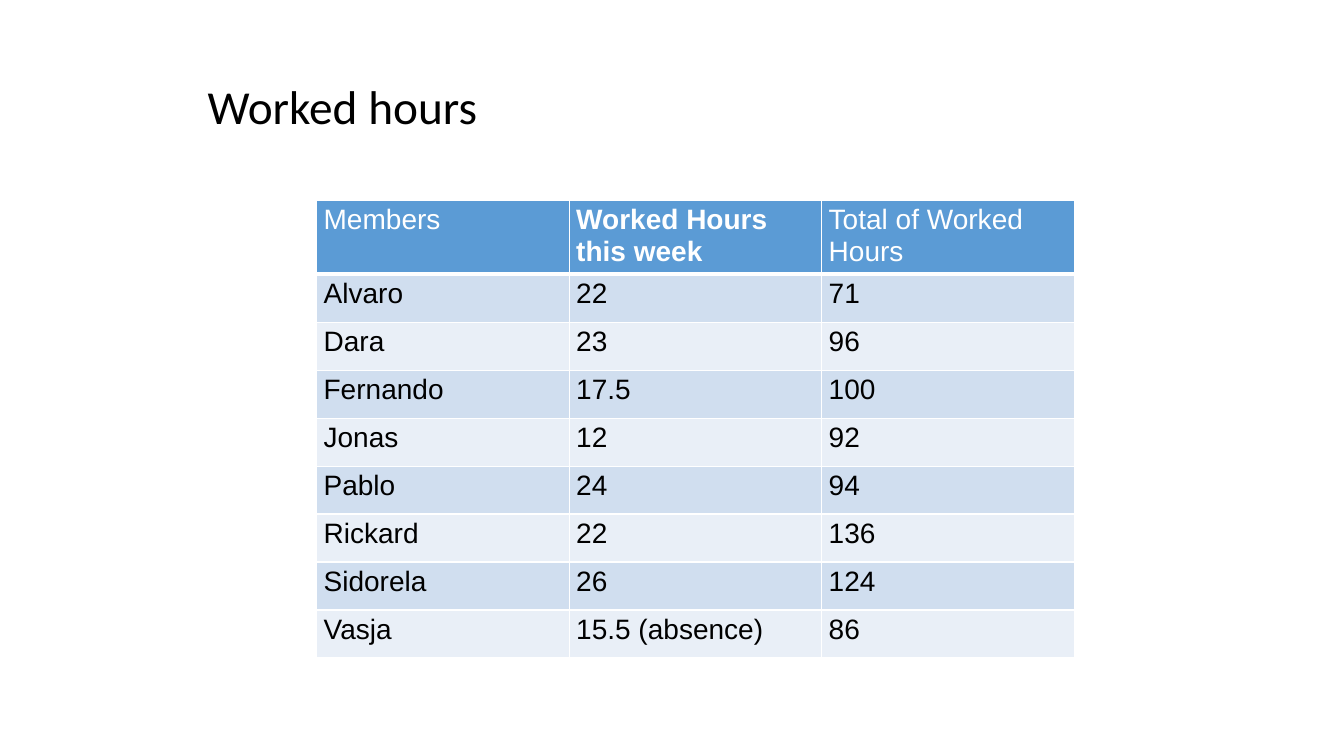
from lxml import etree
from pptx import Presentation
from pptx.dml.color import RGBColor
from pptx.enum.text import MSO_ANCHOR, PP_ALIGN
from pptx.oxml.ns import qn
from pptx.util import Inches, Pt

LEFT, MIDDLE = PP_ALIGN.LEFT, MSO_ANCHOR.MIDDLE
COLORS = {"text": "000000", "white": "FFFFFF", "header": "5B9BD5",
          "odd": "D0DEEF", "even": "E9EFF7"}
ROWS = [
    ("Members", "Worked Hours this week", "Total of Worked Hours"),
    ("Alvaro", "22", "71"),
    ("Dara", "23", "96"),
    ("Fernando", "17.5", "100"),
    ("Jonas", "12", "92"),
    ("Pablo", "24", "94"),
    ("Rickard", "22", "136"),
    ("Sidorela", "26", "124"),
    ("Vasja", "15.5 (absence)", "86"),
]
COL_W, HEADER_H, ROW_H = 2.505, 0.73, 0.476


def style_run(r, font, size, color, bold=False):
    r.font.name, r.font.size, r.font.bold = font, Pt(size), bold
    r.font.color.rgb = RGBColor.from_string(COLORS[color])


def set_borders(cell, widths):
    """Draw white cell borders; widths maps L, R, T, B (in that order) to points."""
    tc_pr = cell._tc.get_or_add_tcPr()
    for i, (side, width) in enumerate(widths.items()):
        ln = etree.Element(qn(f"a:ln{side}"), w=str(Pt(width)))
        fill = etree.SubElement(ln, qn("a:solidFill"))
        etree.SubElement(fill, qn("a:srgbClr"), val=COLORS["white"])
        tc_pr.insert(i, ln)


prs = Presentation()
prs.slide_width, prs.slide_height = Inches(13.33), Inches(7.5)
s = prs.slides.add_slide(prs.slide_layouts[5])

title = s.shapes.title
title.left, title.top = Inches(1.96), Inches(0.72)
title.width, title.height = Inches(8.59), Inches(0.73)
tf = title.text_frame
tf.text = "Worked hours"
tf.vertical_anchor = MIDDLE
p = tf.paragraphs[0]
p.alignment, p.line_spacing = LEFT, 0.9
style_run(p.runs[0], "Calibri", 33.8, "text")

table = s.shapes.add_table(
    len(ROWS), len(ROWS[0]), Inches(3.14), Inches(1.99),
    Inches(COL_W * len(ROWS[0])), Inches(HEADER_H + ROW_H * (len(ROWS) - 1))).table
for col in table.columns:
    col.width = Inches(COL_W)

for i, values in enumerate(ROWS):
    header = i == 0
    table.rows[i].height = Inches(HEADER_H if header else ROW_H)
    fill = "header" if header else "odd" if i % 2 else "even"
    for j, value in enumerate(values):
        cell = table.cell(i, j)
        cell.text = value
        cell.margin_left = cell.margin_right = Inches(0.07)
        cell.margin_top = cell.margin_bottom = Inches(0.04)
        cell.fill.solid()
        cell.fill.fore_color.rgb = RGBColor.from_string(COLORS[fill])
        set_borders(cell, {"L": 1, "R": 1, "T": 3 if i == 1 else 1, "B": 3 if header else 1})
        style_run(cell.text_frame.paragraphs[0].runs[0], "Arial", 20,
                  "white" if header else "text", bold=header and j == 1)

prs.save("out.pptx")
